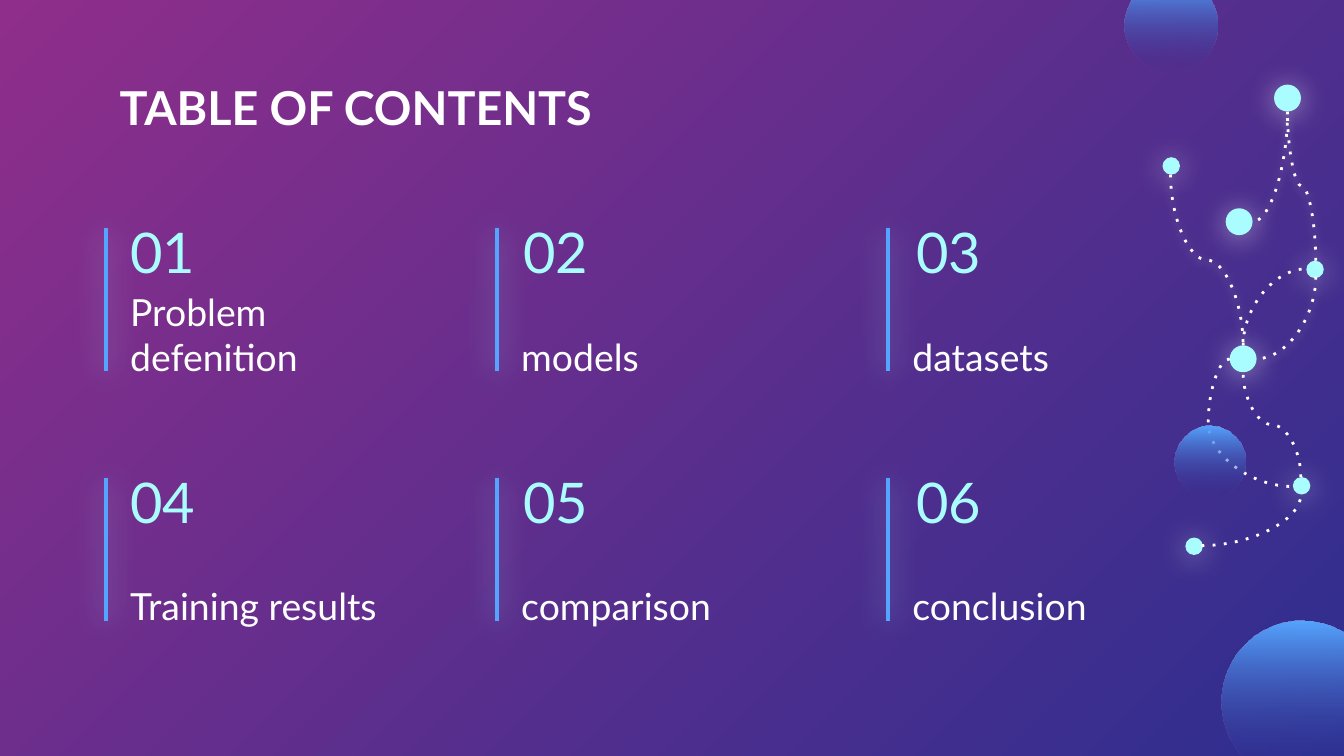
from lxml import etree
from pptx import Presentation
from pptx.dml.color import RGBColor
from pptx.enum.dml import MSO_LINE
from pptx.enum.shapes import MSO_CONNECTOR, MSO_SHAPE
from pptx.enum.text import MSO_ANCHOR, MSO_AUTO_SIZE, PP_ALIGN
from pptx.oxml.ns import qn
from pptx.util import Inches, Pt

DOT = MSO_LINE.ROUND_DOT
STRAIGHT, CURVE = MSO_CONNECTOR.STRAIGHT, MSO_CONNECTOR.CURVE
OVAL = MSO_SHAPE.OVAL
TOP, MIDDLE, BOTTOM = MSO_ANCHOR.TOP, MSO_ANCHOR.MIDDLE, MSO_ANCHOR.BOTTOM
LEFT, FIXED = PP_ALIGN.LEFT, MSO_AUTO_SIZE.NONE

FONT = "Lato"
WHITE, AQUA, BLUE = "FFFFFF", "AAFDFF", "55A4FF"
PLUM, NAVY = "8F2E8B", "2E2E8F"

TITLE = "TABLE OF CONTENTS"
TOPICS = ["Problem defenition", "models", "datasets",
          "Training results", "comparison", "conclusion"]
COLS = 3

# left, top, size
NODES = [(9.12, 1.55, 0.2), (9.15, 2.57, 0.2), (9.48, 0.63, 0.2),
         (8.65, 1.17, 0.13), (9.72, 1.94, 0.13), (9.62, 3.55, 0.13),
         (8.82, 4, 0.13)]
ORBS = [(8.37, -0.16, 0.69), (9.09, 4.62, 1.2), (8.74, 3.17, 0.53)]

# start, end, turn, flip, preset, bend, glow
LINKS = [
    ((9.25, 2.57), (9.72, 2), 270, False, 2, None, False),
    ((8.71, 1.3), (9.25, 2.57), 270, True, 3, 0.5, True),
    ((9.79, 1.94), (9.58, 0.83), 90, True, 3, 0.5, True),
    ((9.79, 2.06), (9.35, 2.67), 90, False, 2, None, True),
    ((9.58, 0.83), (9.32, 1.65), 90, False, 2, None, True),
    ((9.15, 2.67), (9.62, 3.62), 0, False, 3, -0.34, False),
    ((8.94, 4.06), (9.68, 3.68), 180, True, 2, None, False),
    ((9.68, 3.55), (9.25, 2.77), 90, True, 3, 0.5, False),
]


def rgb(code):
    return RGBColor.from_string(code)


def glow(shape, code=None, blur=0):
    props = shape._element.spPr
    for old in props.findall(qn("a:effectLst")):
        props.remove(old)
    effects = etree.SubElement(props, qn("a:effectLst"))
    if code:
        shadow = etree.SubElement(
            effects, qn("a:outerShdw"), blurRad=str(Pt(blur)),
            dist=str(Pt(1.5)), dir="5400000", algn="bl", rotWithShape="0")
        tint = etree.SubElement(shadow, qn("a:srgbClr"), val=code)
        etree.SubElement(tint, qn("a:alpha"), val="50000")


def blend(fill, first, last, angle):
    fill.gradient()
    fill.gradient_angle = 360 - angle
    for stop, code in zip(fill.gradient_stops, (first, last)):
        stop.color.rgb = rgb(code)


def write(box, text, size, code, anchor, bold=False):
    frame = box.text_frame
    frame.text = text
    frame.word_wrap = True
    frame.auto_size = FIXED
    frame.vertical_anchor = anchor
    frame.margin_left = frame.margin_right = Inches(0.1)
    frame.margin_top = frame.margin_bottom = Inches(0.1)
    para = frame.paragraphs[0]
    para.alignment = LEFT
    font = para.runs[0].font
    font.name, font.size, font.bold = FONT, Pt(size), bold
    font.color.rgb = rgb(code)


def label(shapes, area, *style):
    write(shapes.add_textbox(*map(Inches, area)), *style)


def join(shapes, kind, ends, code, width):
    line = shapes.add_connector(kind, *map(Inches, ends))
    line.line.color.rgb = rgb(code)
    line.line.width = Pt(width)
    return line


def disc(shapes, left, top, size):
    shape = shapes.add_shape(OVAL, *map(Inches, (left, top, size, size)))
    shape.line.fill.background()
    return shape


def link(shapes, start, end, turn, flip, preset, bend, lit):
    (x1, y1), (x2, y2) = start, end
    wide, high = abs(x2 - x1), abs(y2 - y1)
    if turn % 180:
        wide, high = high, wide
    left, top = (x1 + x2 - wide) / 2, (y1 + y2 - high) / 2
    ends = (left, top, left + wide, top + high)
    if flip:
        ends = (left + wide, top, left, top + high)
    line = join(shapes, CURVE, ends, WHITE, 1.5)
    line.line.dash_style = DOT
    props = line._element.spPr
    props.find(".//" + qn("a:prstDash")).set("val", "dot")
    props.find(qn("a:xfrm")).set("rot", str(turn * 60000))
    shape = props.find(qn("a:prstGeom"))
    shape.set("prst", f"curvedConnector{preset}")
    if bend is not None:
        guide = shape.find(qn("a:avLst"))
        etree.SubElement(guide, qn("a:gd"), name="adj1",
                         fmla=f"val {round(bend * 100000)}")
    if lit:
        glow(line, WHITE, 4.5)
    else:
        glow(line)


def main():
    deck = Presentation()
    deck.slide_width, deck.slide_height = Inches(10), Inches(10 * 9 / 16)
    slide = deck.slides.add_slide(deck.slide_layouts[5])
    shapes = slide.shapes
    blend(slide.background.fill, PLUM, NAVY, 45)

    title = shapes.title
    title.left, title.top = Inches(0.79), Inches(0.49)
    title.width, title.height = Inches(8.43), Inches(0.63)
    write(title, TITLE, 25, WHITE, TOP, True)

    for i, topic in enumerate(TOPICS):
        row, col = divmod(i, COLS)
        x, y = 0.79 + 2.91 * col, 1.7 + 1.86 * row
        label(shapes, (0.87 + 2.925 * col, y - 0.08, 1.12, 0.49),
              f"{i + 1:02}", 30, AQUA, MIDDLE)
        label(shapes, (x + 0.08, 2.35 + 1.85 * row, 2.52, 0.57),
              topic, 20, WHITE, BOTTOM)
        bar = join(shapes, STRAIGHT, (x, y, x, y + 1.06), BLUE, 2.25)
        glow(bar, AQUA, 15.8)

    for node in NODES:
        dot = disc(shapes, *node)
        dot.fill.solid()
        dot.fill.fore_color.rgb = rgb(AQUA)
        glow(dot, WHITE, 15.8)

    for item in LINKS:
        link(shapes, *item)

    for place in ORBS:
        orb = disc(shapes, *place)
        blend(orb.fill, BLUE, NAVY, 90)
        last = orb._element.spPr.findall(".//" + qn("a:srgbClr"))[-1]
        etree.SubElement(last, qn("a:alpha"), val="0")
        glow(orb)

    deck.save("out.pptx")


if __name__ == "__main__":
    main()
